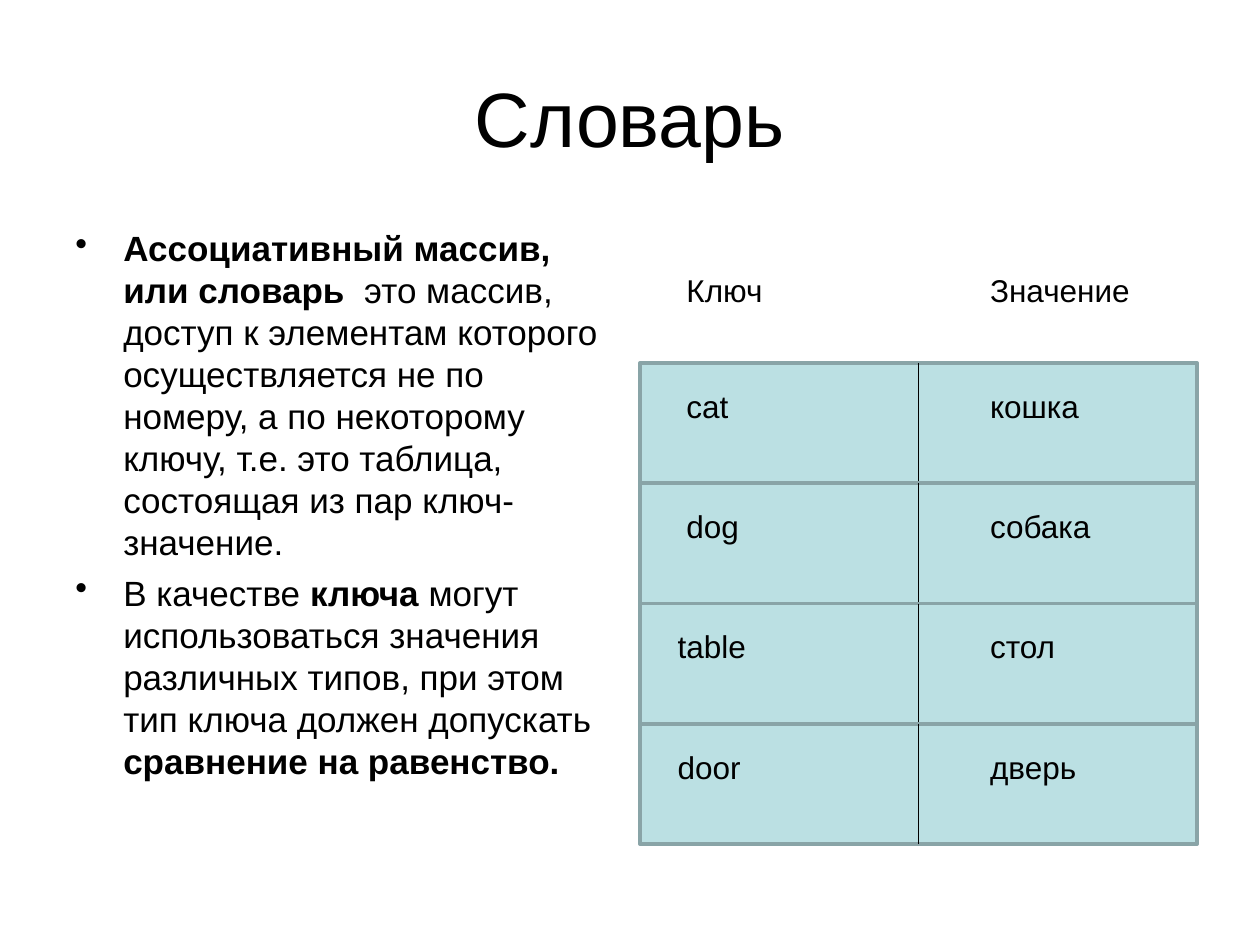
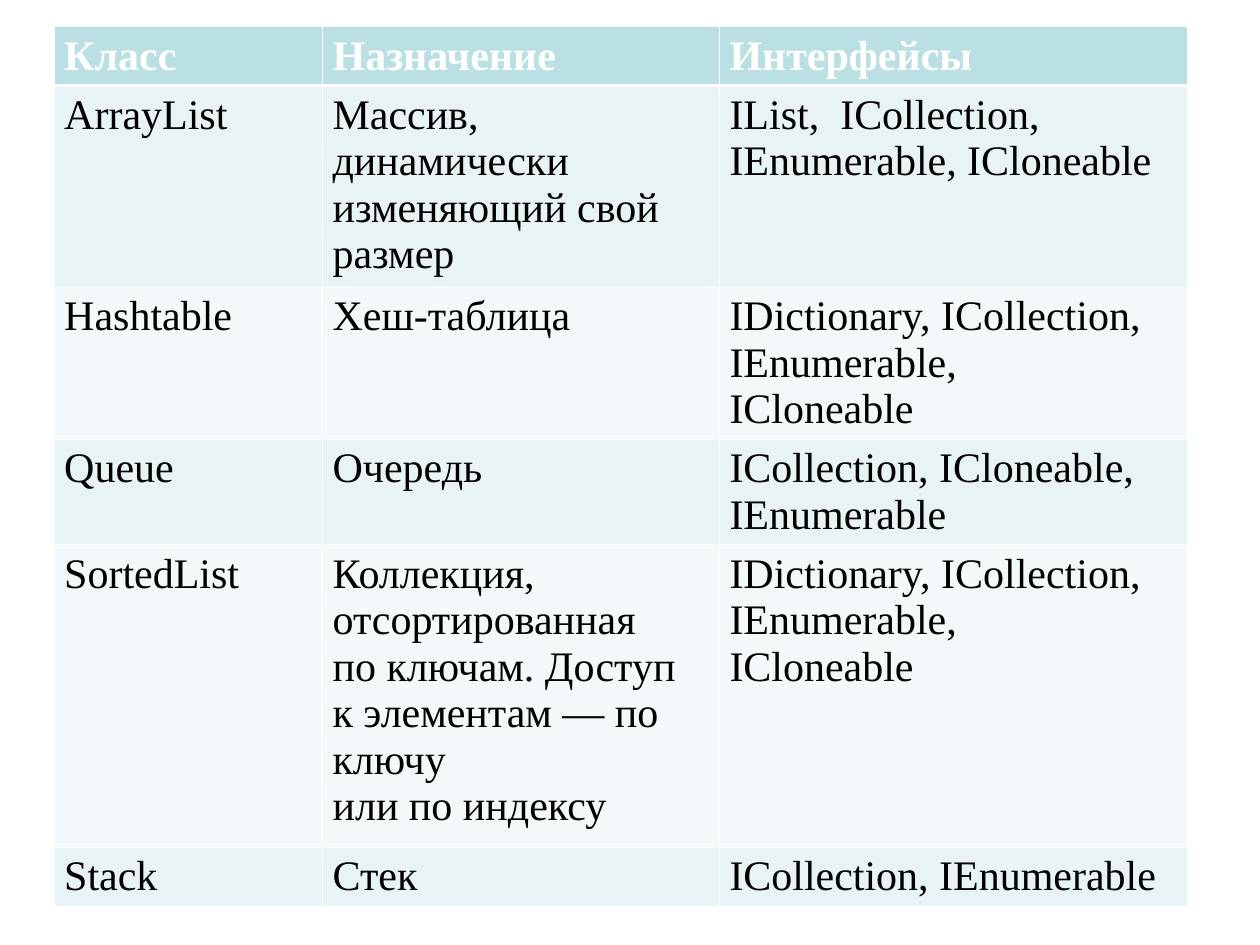
from lxml.etree import SubElement
from pptx import Presentation
from pptx.dml.color import RGBColor
from pptx.enum.shapes import MSO_CONNECTOR as CONNECTOR, MSO_SHAPE as SHAPE
from pptx.enum.text import MSO_ANCHOR as ANCHOR, PP_ALIGN as ALIGN
from pptx.oxml.ns import qn
from pptx.util import Inches, Pt

BLACK, WHITE = "000000", "FFFFFF"
TEAL, TEAL_EDGE = "BBE0E3", "89A4A7"
BANDS = ["E7F3F4", "F3F9FA"]


def color(hex_string):
    return RGBColor.from_string(hex_string)


def write(frame, text, size=18, font="Arial", fill=BLACK, bold=False,
          align=ALIGN.LEFT, anchor=ANCHOR.TOP, bullet=False):
    """Fill a text frame: a newline starts a paragraph, ** switches bold on and off."""
    frame.word_wrap = True
    frame.vertical_anchor = anchor
    for index, line in enumerate(text.split("\n")):
        paragraph = frame.add_paragraph() if index else frame.paragraphs[0]
        paragraph.alignment = align
        if bullet:
            paragraph.space_before = Pt(5)
            properties = paragraph._p.get_or_add_pPr()
            properties.set("marL", str(Inches(0.38)))
            properties.set("indent", str(Inches(-0.38)))
            SubElement(properties, qn("a:buChar"), char="•")
        for part, words in enumerate(line.split("**")):
            if words:
                run = paragraph.add_run()
                run.text = words
                run.font.size = Pt(size)
                run.font.name = font
                run.font.bold = bold or part % 2 == 1
                run.font.color.rgb = color(fill)


presentation = Presentation()
presentation.slide_width, presentation.slide_height = Inches(10), Inches(7.5)
blank = presentation.slide_layouts[6]

# Slide 1: what a dictionary is
slide = presentation.slides.add_slide(blank)
shapes = slide.shapes

title = shapes.add_textbox(Inches(0.5), Inches(0.3), Inches(9), Inches(1.25))
write(title.text_frame, "Словарь", size=44, align=ALIGN.CENTER, anchor=ANCHOR.MIDDLE)

definition = shapes.add_textbox(Inches(0.5), Inches(1.75), Inches(4.42), Inches(4.95))
write(definition.text_frame,
      "**Ассоциативный массив, или словарь ** это массив, доступ к элементам которого "
      "осуществляется не по номеру, а по некоторому ключу, т.е. это таблица, "
      "состоящая из пар ключ-значение.\n"
      "В качестве **ключа** могут использоваться значения различных типов, при этом "
      "тип ключа должен допускать **сравнение на равенство.**",
      size=20, bullet=True)

grid_left, grid_top, grid_width, row_height = 5.08, 2.88, 4.42, 0.955
middle = grid_left + grid_width / 2
value_left = 7.76
labels = [(5.35, 2.1, "Ключ"), (value_left, 2.1, "Значение")]
pairs = [("cat", "кошка", 5.35), ("dog", "собака", 5.35),
         ("table", "стол", 5.28), ("door", "дверь", 5.28)]

for row, (key, value, key_left) in enumerate(pairs):
    top = grid_top + row * row_height
    box = shapes.add_shape(SHAPE.RECTANGLE, Inches(grid_left), Inches(top),
                           Inches(grid_width), Inches(row_height))
    box.shadow.inherit = False
    box.fill.solid()
    box.fill.fore_color.rgb = color(TEAL)
    box.line.color.rgb = color(TEAL_EDGE)
    box.line.width = Pt(2)

    divider = shapes.add_connector(CONNECTOR.STRAIGHT, Inches(middle), Inches(top),
                                   Inches(middle), Inches(top + row_height))
    divider.line.color.rgb = color(BLACK)
    divider.line.width = Pt(0.75)
    SubElement(divider._element.spPr, qn("a:effectLst"))
    labels += [(key_left, top + 0.14, key), (value_left, top + 0.14, value)]

for left, top, text in labels:
    label = shapes.add_textbox(Inches(left), Inches(top), Inches(1.7), Inches(0.4))
    write(label.text_frame, text)

# Slide 2: collection classes
slide = presentation.slides.add_slide(blank)
collections = [
    ("Класс", "Назначение", "Интерфейсы"),
    ("ArrayList", "Массив, динамически\nизменяющий свой размер",
     "IList,  ICollection, IEnumerable, ICloneable"),
    ("Hashtable", "Хеш-таблица", "IDictionary, ICollection, IEnumerable,\nICloneable"),
    ("Queue", "Очередь", "ICollection, ICloneable, IEnumerable"),
    ("SortedList",
     "Коллекция, отсортированная\nпо ключам. Доступ\nк элементам — по ключу\nили по индексу",
     "IDictionary, ICollection, IEnumerable,\nICloneable"),
    ("Stack", "Стек", "ICollection, IEnumerable"),
]
column_widths = [2.13, 3.15, 3.71]
row_heights = [0.4, 1.6, 1.2, 0.8, 2.4, 0.4]

table = slide.shapes.add_table(len(row_heights), len(column_widths), Inches(0.43), Inches(0.21),
                               Inches(sum(column_widths)), Inches(sum(row_heights))).table
for column, width in zip(table.columns, column_widths):
    column.width = Inches(width)

for row, (height, texts) in enumerate(zip(row_heights, collections)):
    table.rows[row].height = Inches(height)
    header = row == 0
    thick_side = {0: "lnB", 1: "lnT"}.get(row)
    for column, text in enumerate(texts):
        cell = table.cell(row, column)
        cell.margin_left = cell.margin_right = Inches(0.08)
        write(cell.text_frame, text, size=24, font="Times New Roman",
              fill=WHITE if header else BLACK, bold=header)
        properties = cell._tc.get_or_add_tcPr()
        for side in ("lnL", "lnR", "lnT", "lnB"):
            weight = Pt(1.47 if side == thick_side else 0.45)
            border = SubElement(properties, qn(f"a:{side}"), w=str(weight))
            solid = SubElement(border, qn("a:solidFill"))
            SubElement(solid, qn("a:srgbClr"), val=WHITE)
        cell.fill.solid()
        cell.fill.fore_color.rgb = color(TEAL if header else BANDS[(row - 1) % 2])

presentation.save("out.pptx")
